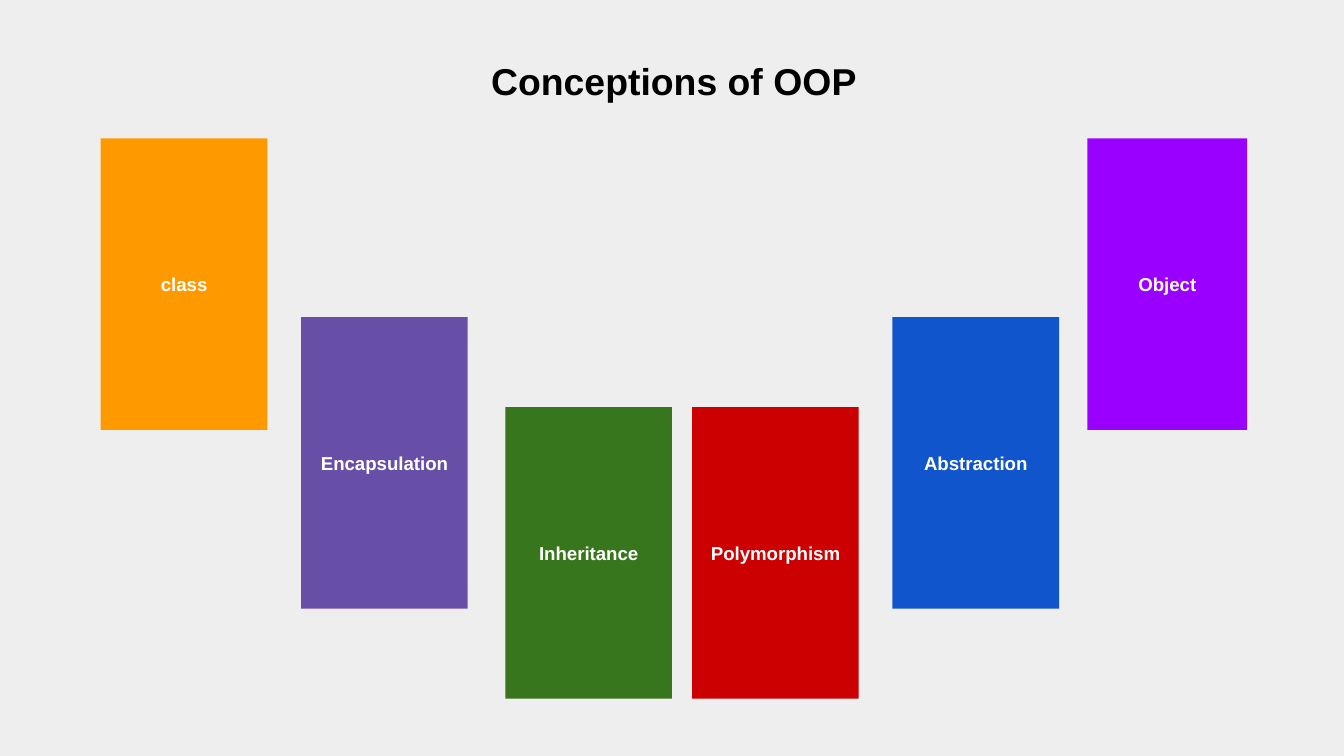
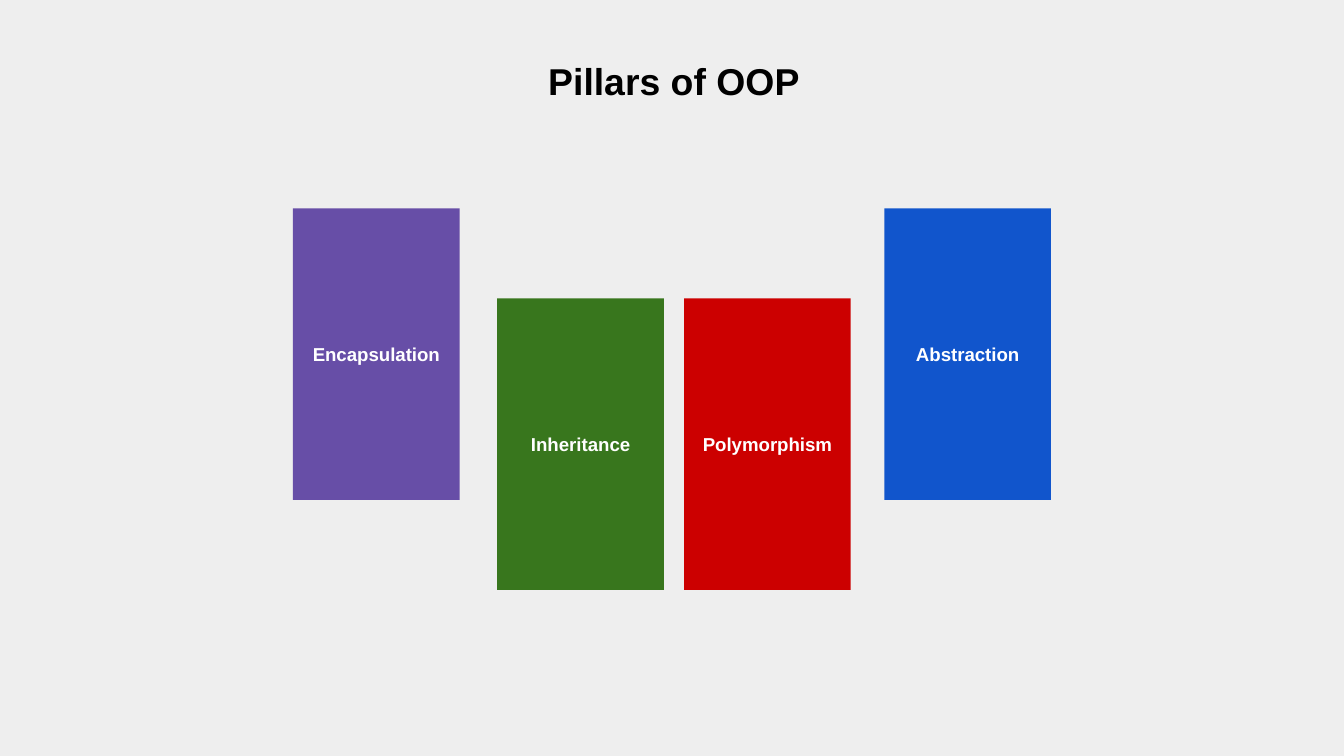
from dataclasses import dataclass

from pptx import Presentation
from pptx import util as u
from pptx.dml import color
from pptx.enum import shapes, text


@dataclass(frozen=True)
class Theme:
    background: str = "EEEEEE"
    title_color: str = "000000"
    label_color: str = "FFFFFF"
    orange: str = "FF9900"
    purple: str = "674EA7"
    green: str = "38761D"
    red: str = "CC0000"
    blue: str = "1155CC"
    violet: str = "9900FF"
    font: str = "Arial"
    title_size: int = 20
    label_size: int = 10


theme = Theme()


def write_text(shape, wording, size, ink, anchor):
    frame = shape.text_frame
    frame.text = wording
    frame.word_wrap = True
    frame.vertical_anchor = anchor
    frame.margin_left = frame.margin_right = u.Inches(0.1)
    frame.margin_top = frame.margin_bottom = u.Inches(0.1)
    para = frame.paragraphs[0]
    para.alignment = text.PP_ALIGN.CENTER
    span = para.runs[0]
    span.font.name = theme.font
    span.font.size = u.Pt(size)
    span.font.bold = True
    span.font.color.rgb = color.RGBColor.from_string(ink)


card_width, card_height = 1.24, 2.17
high, middle, low = 1.03, 2.36, 3.03

pillars = [
    ("Encapsulation", 2.24, middle, card_width, theme.purple),
    ("Inheritance", 3.76, low, card_width, theme.green),
    ("Polymorphism", 5.15, low, card_width, theme.red),
    ("Abstraction", 6.64, middle, card_width, theme.blue),
]
conceptions = [
    ("class", 0.75, high, card_width, theme.orange),
    *pillars,
    ("Object", 8.09, high, 1.19, theme.violet),
]
pages = [
    ("Conceptions of OOP", 0.54, conceptions, 0, 0),
    ("Pillars of OOP", 1.21, pillars, -0.06, -0.81),
]

deck = Presentation()
deck.slide_width = u.Inches(10)
deck.slide_height = deck.slide_width * 9 // 16
backdrop = deck.slide_master.background.fill
backdrop.solid()
backdrop.fore_color.rgb = color.RGBColor.from_string(theme.background)
title_only = deck.slide_layouts.get_by_name("Title Only")

for heading, title_height, cards, shift_x, shift_y in pages:
    page = deck.slides.add_slide(title_only)
    title = page.shapes.title
    title.left, title.top = u.Inches(0.33), u.Inches(0.33)
    title.width, title.height = u.Inches(9.37), u.Inches(title_height)
    write_text(title, heading, theme.title_size, theme.title_color, text.MSO_ANCHOR.TOP)
    title.text_frame.auto_size = text.MSO_AUTO_SIZE.SHAPE_TO_FIT_TEXT

    for label, left, top, width, fill in cards:
        box = page.shapes.add_shape(
            shapes.MSO_SHAPE.RECTANGLE,
            u.Inches(left + shift_x),
            u.Inches(top + shift_y),
            u.Inches(width),
            u.Inches(card_height),
        )
        box.shadow.inherit = False
        box.fill.solid()
        box.fill.fore_color.rgb = color.RGBColor.from_string(fill)
        box.line.fill.background()
        write_text(box, label, theme.label_size, theme.label_color, text.MSO_ANCHOR.MIDDLE)

deck.save("out.pptx")
